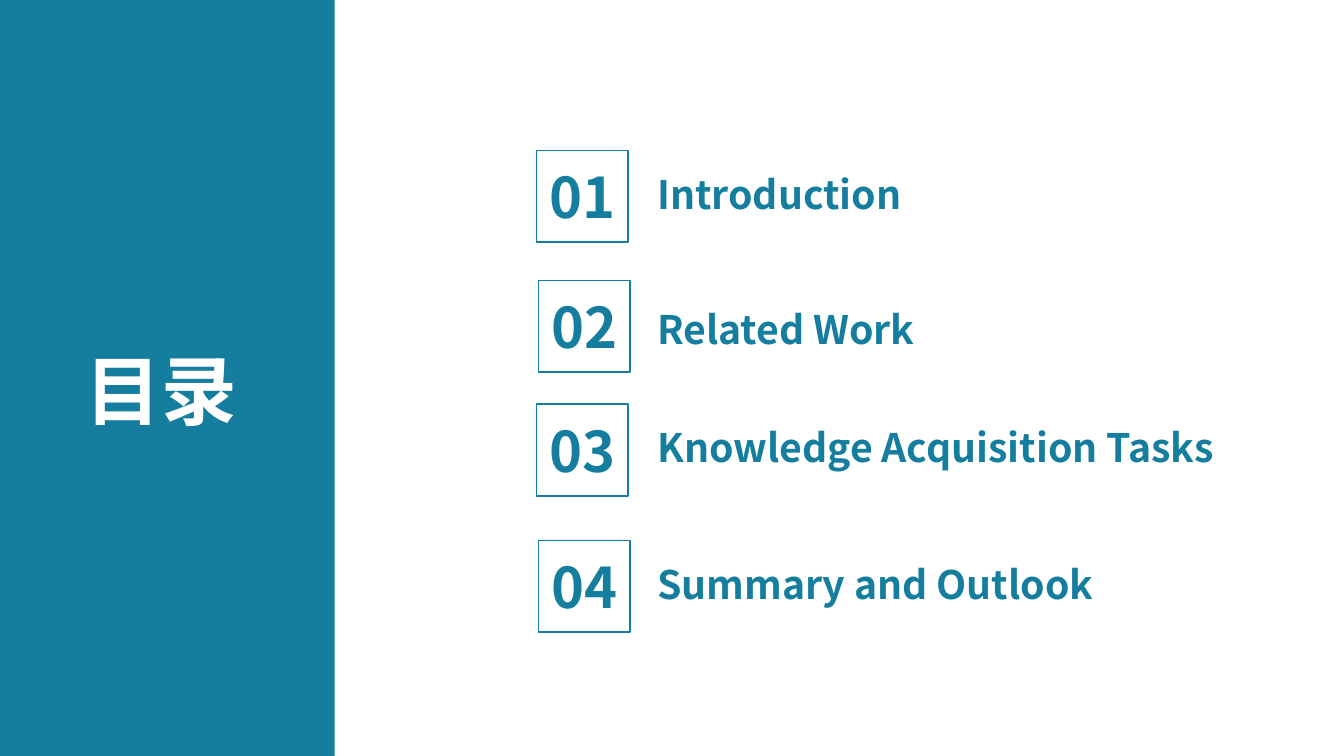
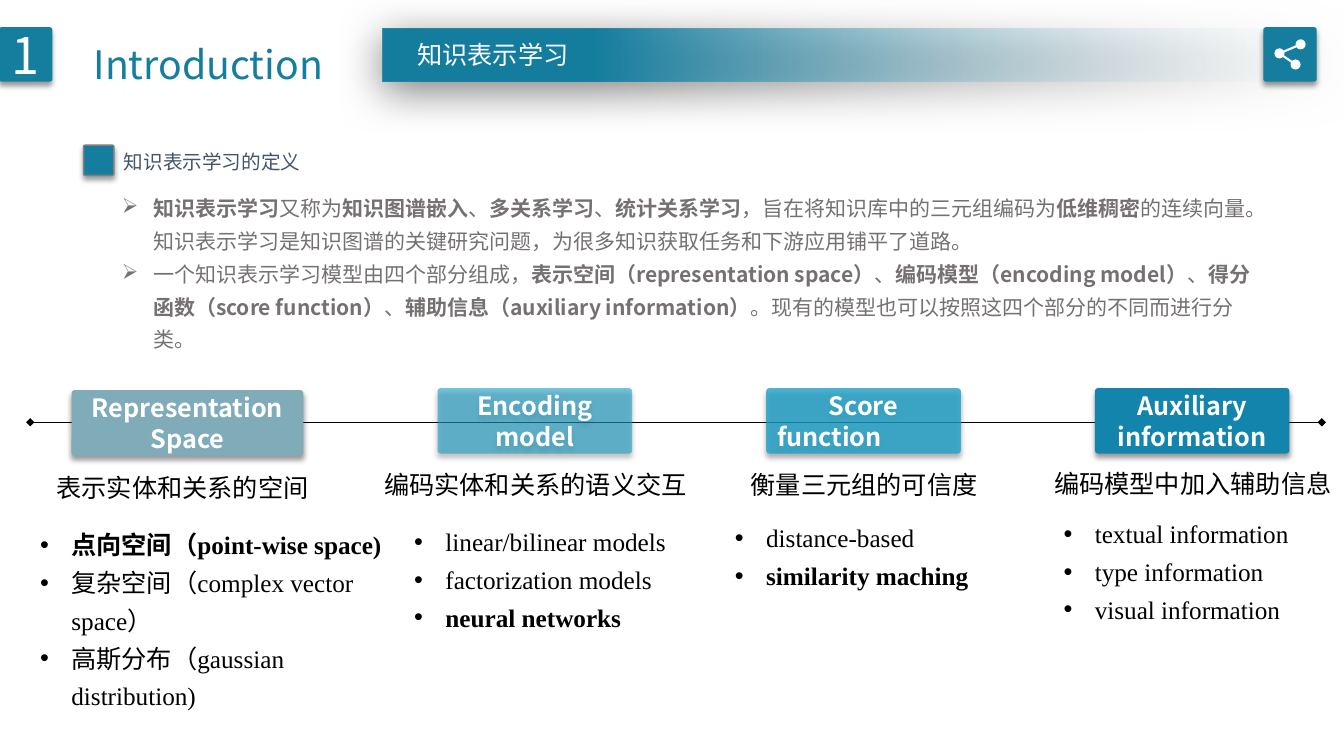
import pptx
import pptx.dml.color
import pptx.enum.dml
import pptx.enum.shapes
import pptx.enum.text
import pptx.oxml.ns
import pptx.util
from lxml import etree

Inches = pptx.util.Inches
Pt = pptx.util.Pt
RGBColor = pptx.dml.color.RGBColor
SHAPE = pptx.enum.shapes.MSO_SHAPE
ALIGN = pptx.enum.text.PP_ALIGN
ANCHOR = pptx.enum.text.MSO_ANCHOR
AUTO_SIZE = pptx.enum.text.MSO_AUTO_SIZE
STRAIGHT = pptx.enum.shapes.MSO_CONNECTOR.STRAIGHT
qn = pptx.oxml.ns.qn

TEAL = RGBColor(0x15, 0x7E, 0x9F)
WHITE = RGBColor(0xFF, 0xFF, 0xFF)
BLACK = RGBColor(0x00, 0x00, 0x00)
PALE = RGBColor(0xF6, 0xF8, 0xFC)
SLATE = RGBColor(0x44, 0x54, 0x6A)
GREY = RGBColor(0x76, 0x71, 0x71)
EDGE_GREY = RGBColor(0x7F, 0x7F, 0x7F)
DUSTY_TEAL = RGBColor(0x80, 0xAB, 0xB8)
BRIGHT_TEAL = RGBColor(0x1B, 0xA0, 0xC9)
DEEP_TEAL = RGBColor(0x13, 0x85, 0xAC)
SANS = "Noto Sans CJK SC"
SERIF = "Times New Roman"
CARD_SHADOW = (40, 4, 3, 90)


def add_box(slide, kind, left, top, width, height, fill=None, line=None, shadow=None):
    """Add a preset shape; shadow is opacity %, blur pt, distance pt, degrees."""
    shape = slide.shapes.add_shape(
        kind, Inches(left), Inches(top), Inches(width), Inches(height))
    if kind == SHAPE.ROUNDED_RECTANGLE:
        shape.adjustments[0] = 0.05
    if fill is None:
        shape.fill.background()
    else:
        shape.fill.solid()
        shape.fill.fore_color.rgb = fill
    if line is None:
        shape.line.fill.background()
    else:
        shape.line.color.rgb = line
        shape.line.width = Pt(1)
    shape.shadow.inherit = False
    if shadow:
        opacity, blur, distance, degrees = shadow
        effects = shape._element.spPr.find(qn("a:effectLst"))
        outer = etree.SubElement(
            effects, qn("a:outerShdw"), blurRad=str(Pt(blur)), dist=str(Pt(distance)),
            dir=str(degrees * 60000), algn="ctr", rotWithShape="0")
        color = etree.SubElement(outer, qn("a:srgbClr"), val=str(BLACK))
        etree.SubElement(color, qn("a:alpha"), val=str(opacity * 1000))
    return shape


def write_text(shape, paragraphs, size, color, font=SANS, align=ALIGN.LEFT,
               spacing=None, bullet=None, wrap=True):
    """Fill a shape or text box; text between asterisks is bold."""
    frame = shape.text_frame
    frame.word_wrap = wrap
    if shape.shape_type == pptx.enum.shapes.MSO_SHAPE_TYPE.TEXT_BOX:
        frame.auto_size = AUTO_SIZE.SHAPE_TO_FIT_TEXT
    else:
        frame.vertical_anchor = ANCHOR.MIDDLE
    for index, text in enumerate(paragraphs):
        paragraph = frame.add_paragraph() if index else frame.paragraphs[0]
        paragraph.alignment = align
        if spacing:
            paragraph.line_spacing = spacing
        if bullet:
            properties = paragraph._p.get_or_add_pPr()
            properties.set("marL", str(Inches(0.31)))
            properties.set("indent", str(Inches(-0.31)))
            if bullet == "•":
                etree.SubElement(properties, qn("a:buFont"), typeface="Arial")
            etree.SubElement(properties, qn("a:buChar"), char=bullet)
        for position, piece in enumerate(text.split("*")):
            if piece:
                run = paragraph.add_run()
                run.text = piece
                run.font.size = Pt(size)
                run.font.bold = position % 2 == 1
                run.font.name = font
                run.font.color.rgb = color
                etree.SubElement(run._r.get_or_add_rPr(), qn("a:ea"), typeface=SANS)


presentation = pptx.Presentation()
presentation.slide_width = Inches(13.33)
presentation.slide_height = Inches(7.5)
blank = presentation.slide_layouts[6]

# Contents
slide = presentation.slides.add_slide(blank)
add_box(slide, SHAPE.RECTANGLE, 0, 0, 3.32, 7.5, TEAL)
heading = slide.shapes.add_textbox(Inches(0.75), Inches(3.36), Inches(1.72), Inches(1.01))
write_text(heading, ["*目录*"], 54, WHITE, wrap=False)

chapters = [
    ("Introduction", 5.32, 1.49, 1.64),
    ("Related Work", 5.34, 2.78, 2.98),
    ("Knowledge Acquisition Tasks", 5.32, 4.01, 4.15),
    ("Summary and Outlook", 5.34, 5.36, 5.51),
]
for number, (title, left, top, title_top) in enumerate(chapters, 1):
    square = add_box(slide, SHAPE.RECTANGLE, left, top, 0.91, 0.91, line=TEAL)
    write_text(square, [f"*{number:02}*"], 40, TEAL, align=ALIGN.CENTER)
    label = slide.shapes.add_textbox(
        Inches(6.42), Inches(title_top), Inches(6.69), Inches(0.57))
    write_text(label, [f"*{title}*"], 28, TEAL)

# Introduction: header
slide = presentation.slides.add_slide(blank)
band = add_box(slide, SHAPE.RECTANGLE, 3.8, 0.28, 9.53, 0.53, TEAL, shadow=(50, 31, 6, 97))
band.fill.gradient()
band.fill.gradient_angle = 180
clear_stop, solid_stop = band.fill.gradient_stops
clear_stop.position, clear_stop.color.rgb = 0, PALE
solid_stop.position, solid_stop.color.rgb = 0.78, TEAL
clear_color = band._element.spPr.find(".//" + qn("a:srgbClr"))
etree.SubElement(clear_color, qn("a:alpha"), val="0")

badge = add_box(slide, SHAPE.ROUNDED_RECTANGLE, -0.01, 0.27, 0.53, 0.54, TEAL,
                shadow=CARD_SHADOW)
write_text(badge, ["1"], 36, WHITE, align=ALIGN.CENTER)
add_box(slide, SHAPE.ROUNDED_RECTANGLE, 12.53, 0.27, 0.53, 0.54, TEAL, shadow=CARD_SHADOW)

# Share icon: three dots joined by two lines
dots = [(12.69, 0.53), (12.9, 0.44), (12.85, 0.64)]
for x, y in dots:
    add_box(slide, SHAPE.OVAL, x - 0.05, y - 0.05, 0.1, 0.1, WHITE)
lines = [(*dots[0], *end, WHITE, 1.5, False) for end in dots[1:]]
lines.append((0.3, 4.19, 13.11, 4.19, BLACK, 0.5, True))
for x1, y1, x2, y2, color, width, diamonds in lines:
    connector = slide.shapes.add_connector(
        STRAIGHT, Inches(x1), Inches(y1), Inches(x2), Inches(y2))
    connector.line.color.rgb = color
    connector.line.width = Pt(width)
    if diamonds:
        for end in ("a:headEnd", "a:tailEnd"):
            etree.SubElement(connector.line._get_or_add_ln(), qn(end), type="diamond")
    etree.SubElement(connector._element.spPr, qn("a:effectLst"))

add_box(slide, SHAPE.ROUNDED_RECTANGLE, 0.83, 1.44, 0.3, 0.3, TEAL, EDGE_GREY, CARD_SHADOW)
headings = [
    ("Introduction", 0.83, 0.12, 2.53, 0.72, 28, TEAL, 1.5),
    ("知识表示学习", 4.04, 0.34, 1.72, 0.4, 18, WHITE, None),
    ("知识表示学习的定义", 1.13, 1.37, 1.97, 0.38, 14, SLATE, 1.3),
]
for text, left, top, width, height, size, color, spacing in headings:
    label = slide.shapes.add_textbox(
        Inches(left), Inches(top), Inches(width), Inches(height))
    write_text(label, [text], size, color, spacing=spacing, wrap=False)

definition = slide.shapes.add_textbox(
    Inches(1.11), Inches(1.82), Inches(11.42), Inches(1.71))
write_text(definition, [
    "*知识表示学习*又称为*知识图谱嵌入*、*多关系学习*、*统计关系学习*，"
    "旨在将知识库中的三元组编码为*低维稠密*的连续向量。"
    "知识表示学习是知识图谱的关键研究问题，为很多知识获取任务和下游应用铺平了道路。",
    "一个知识表示学习模型由四个部分组成，*表示空间（representation space）*、"
    "*编码模型（encoding model）*、*得分函数（score function）*、"
    "*辅助信息（auxiliary information）*。现有的模型也可以按照这四个部分的不同而进行分类。",
], 15, GREY, spacing=1.3, bullet="➢")

# Introduction: the four parts of a model
# card place, fill, opacity, card text, caption and its place, list place and items
parts = [
    ((0.71, 3.87, 2.3), DUSTY_TEAL, 100, ["*Representation Space*"],
     "表示实体和关系的空间", (0, 4.56), (0.3, 5.13, 3.74),
     ["*点向空间（point-wise space)*", "复杂空间（complex vector space）",
      "高斯分布（gaussian distribution)"]),
    ((4.34, 3.85, 1.93), BRIGHT_TEAL, 60, ["*Encoding model*"],
     "编码实体和关系的语义交互", (3.5, 4.53), (4.01, 5.1, 2.75),
     ["linear/bilinear models", "factorization models", "*neural networks*"]),
    ((7.6, 3.85, 1.93), BRIGHT_TEAL, 78, ["*Score*", "*function*"],
     "衡量三元组的可信度", (6.76, 4.53), (7.19, 5.06, 2.75),
     ["distance-based", "*similarity maching*"]),
    ((10.86, 3.85, 1.93), DEEP_TEAL, 100, ["*Auxiliary*", "*information*"],
     "编码模型中加入辅助信息", (10.02, 4.52), (10.45, 5.02, 2.75),
     ["textual information", "type information", "visual information"]),
]
for card_place, fill, opacity, title, caption, caption_place, list_place, items in parts:
    card = add_box(slide, SHAPE.ROUNDED_RECTANGLE, *card_place, 0.65, fill,
                   shadow=CARD_SHADOW)
    if opacity < 100:
        color = card._element.spPr.find(qn("a:solidFill")).find(qn("a:srgbClr"))
        etree.SubElement(color, qn("a:alpha"), val=str(opacity * 1000))
    write_text(card, title, 18, WHITE, align=ALIGN.CENTER)
    if title[-1] == "*function*":
        card.text_frame.paragraphs[-1].alignment = ALIGN.LEFT

    left, top = caption_place
    caption_box = slide.shapes.add_textbox(
        Inches(left), Inches(top), Inches(3.62), Inches(0.46))
    write_text(caption_box, [caption], 18, BLACK, align=ALIGN.CENTER, spacing=1.25)

    left, top, width = list_place
    list_box = slide.shapes.add_textbox(
        Inches(left), Inches(top), Inches(width), Inches(0.38 * len(items) + 0.06))
    write_text(list_box, items, 18, BLACK, SERIF, spacing=1.25, bullet="•")

presentation.save("out.pptx")
